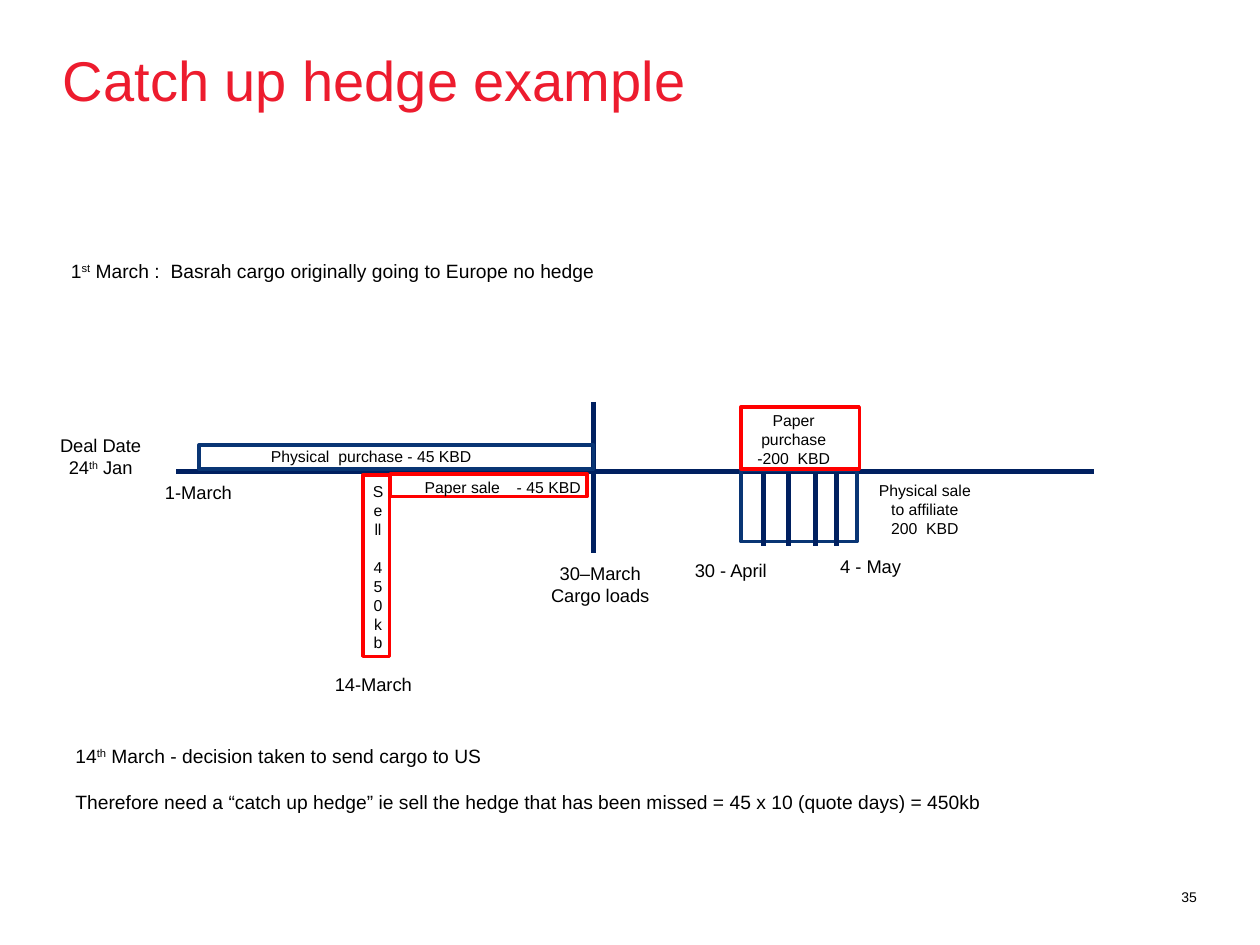
"""Build the catch up hedge timeline slide."""
from dataclasses import dataclass

import pptx
import pptx.dml.color
import pptx.enum.shapes
import pptx.enum.text
import pptx.oxml
import pptx.oxml.ns
import pptx.util

Pt = pptx.util.Pt
RGB = pptx.dml.color.RGBColor.from_string
ALIGN = pptx.enum.text.PP_ALIGN


@dataclass(frozen=True)
class Theme:
    """Colours, font and type sizes of the slide."""
    font: str = "Arial"
    text: str = "000000"
    title: str = "ED1C2E"
    axis: str = "002060"
    physical: str = "093574"
    paper: str = "FF0000"
    title_size: float = 32
    note_size: float = 11
    date_size: float = 10.5
    bar_size: float = 9
    number_size: float = 8
    axis_width: float = 3
    bar_width: float = 2


THEME = Theme()


def apply(target, values):
    """Set each named attribute on the target."""
    for name, value in values.items():
        setattr(target, name, value)


def add_text(s, box, lines, size, color=THEME.text, align=ALIGN.CENTER, gap=0, inset=(7.2, 3.6)):
    """Add a wrapped text box; parts between carets are superscript."""
    tf = s.shapes.add_textbox(*map(Pt, box)).text_frame
    dx, dy = map(Pt, inset)
    apply(tf, dict(word_wrap=True, margin_left=dx, margin_right=dx, margin_top=dy, margin_bottom=dy))
    for i, line in enumerate(lines):
        p = tf.add_paragraph() if i else tf.paragraphs[0]
        apply(p, dict(alignment=align, space_before=Pt(gap if i else 0)))
        for j, part in enumerate(line.split("^")):
            r = p.add_run()
            r.text = part
            apply(r.font, dict(name=THEME.font, size=Pt(size)))
            r.font.color.rgb = RGB(color)
            if j % 2:
                r.font._element.set("baseline", "30000")
    return tf


def add_bar(s, box, color):
    """Add an unfilled outlined rectangle."""
    sp = s.shapes.add_shape(pptx.enum.shapes.MSO_SHAPE.RECTANGLE, *map(Pt, box))
    sp.shadow.inherit = False
    sp.fill.background()
    sp.line.color.rgb = RGB(color)
    sp.line.width = Pt(THEME.bar_width)


def add_line(s, *ends):
    """Add a straight axis-coloured line without a shadow."""
    cn = s.shapes.add_connector(pptx.enum.shapes.MSO_CONNECTOR.STRAIGHT, *map(Pt, ends))
    cn.line.color.rgb = RGB(THEME.axis)
    cn.line.width = Pt(THEME.axis_width)
    cn._element.spPr.append(pptx.oxml.parse_xml(
        f"<a:effectLst {pptx.oxml.ns.nsdecls('a')}/>"))


def add_title(s, box, title):
    """Place the slide title."""
    add_text(s, box, [title], THEME.title_size, THEME.title, ALIGN.LEFT, inset=(0, 0))


def add_number(s, box, number):
    """Place the page number."""
    add_text(s, box, [number], THEME.number_size, align=ALIGN.RIGHT, inset=(0, 0))


def add_note(s, box, lines):
    """Place explanatory paragraphs."""
    add_text(s, box, lines, THEME.note_size, align=ALIGN.LEFT, gap=13)


def add_timeline(s, box):
    """Draw the time axis, the loading marker and their dates."""
    x, y, w, h = box
    axis_y, load_x = y + 39.6, x + 238.3
    add_line(s, x, axis_y, x + w, axis_y)
    add_line(s, load_x, y, load_x, y + h)
    labels = [
        (x - 92.2, y + 15.1, 97.9, ["Deal Date", "24^th^ Jan"]),
        (x - 16.2, axis_y + 2.1, 57.6, ["1-March"]),
        (load_x - 45, y + h + 1.4, 97.9, ["30–March", "Cargo loads"]),
    ]
    for left, top, width, lines in labels:
        add_text(s, (left, top, width, 20 * len(lines)), lines, THEME.date_size)


def add_march_bars(s, box):
    """Draw the physical purchase above the axis and the paper sale below."""
    x, y, w, h = box
    add_bar(s, (x, y, w, 13.7), THEME.physical)
    add_text(s, (x - 10.1, y - 2.2, 216.7, 18), ["Physical  purchase - 45 KBD"], THEME.bar_size)
    sale_x, sale_y = x + 109.4, y + h - 13
    add_bar(s, (sale_x, sale_y, 112.3, 13), THEME.paper)
    tf = add_text(s, (sale_x + 12.4, sale_y - 1.4, 115, 18), ["Paper sale\t- 45 KBD"],
                  THEME.bar_size, align=ALIGN.LEFT)
    tf.paragraphs[0]._p.get_or_add_pPr().append(pptx.oxml.parse_xml(
        f'<a:tabLst {pptx.oxml.ns.nsdecls("a")}><a:tab pos="{Pt(52.6)}" algn="l"/></a:tabLst>'))


def add_catch_up(s, box):
    """Draw the catch up sale column and its date."""
    x, y, w, h = box
    add_bar(s, box, THEME.paper)
    add_text(s, (x - 1.5, y + 0.6, 20.2, h), ["Sell", "450kb"], THEME.bar_size, gap=10.5)
    add_text(s, (x - 32.5, y + h + 5.8, 77, 20), ["14-March"], THEME.date_size)


def add_delivery(s, box):
    """Draw the paper purchase, the affiliate sale days and their dates."""
    x, y, w, h = box
    sale_y = y + 36
    add_bar(s, (x, sale_y, w, h - 36), THEME.physical)
    add_bar(s, (x, y, w + 1.5, 35.3), THEME.paper)
    for dx in (12.9, 27.3, 42.4, 54.7):
        add_line(s, x + dx, sale_y + 1.4, x + dx, y + h + 2.2)
    add_text(s, (x - 4.4, y - 1.5, 69.1, 40.3), ["Paper purchase -200  KBD"], THEME.bar_size)
    add_text(s, (x + w + 4.3, sale_y + 2.8, 69.1, 40.3),
             ["Physical sale to affiliate 200  KBD"], THEME.bar_size)
    for dx, dy, date in ((-36, 6.5, "30 - April"), (43.9, 4.3, "4 - May")):
        add_text(s, (x + dx, y + h + dy, 60.5, 20), [date], THEME.date_size)


def main():
    """Build and save the slide."""
    prs = pptx.Presentation()
    apply(prs, dict(slide_width=Pt(720), slide_height=Pt(540)))
    s = prs.slides.add_slide(prs.slide_layouts[6])
    add_title(s, (36, 26, 648, 57), "Catch up hedge example")
    add_note(s, (33.4, 144.4, 340, 20),
             ["1^st^ March :  Basrah cargo originally going to Europe no hedge"])
    add_timeline(s, (100.8, 229.7, 524.2, 86.4))
    add_march_bars(s, (113.8, 254.2, 225.4, 29.5))
    add_catch_up(s, (207.4, 271.4, 15.1, 103.7))
    add_delivery(s, (423.4, 232.6, 66.2, 77))
    add_note(s, (36, 421.9, 549.4, 47.5), [
        "14^th^ March - decision taken to send cargo to US",
        "Therefore need a “catch up hedge” ie sell the hedge that has been missed"
        " = 45 x 10 (quote days) = 450kb",
    ])
    add_number(s, (661, 507.6, 23, 13.7), "35")
    prs.save("out.pptx")


if __name__ == "__main__":
    main()
